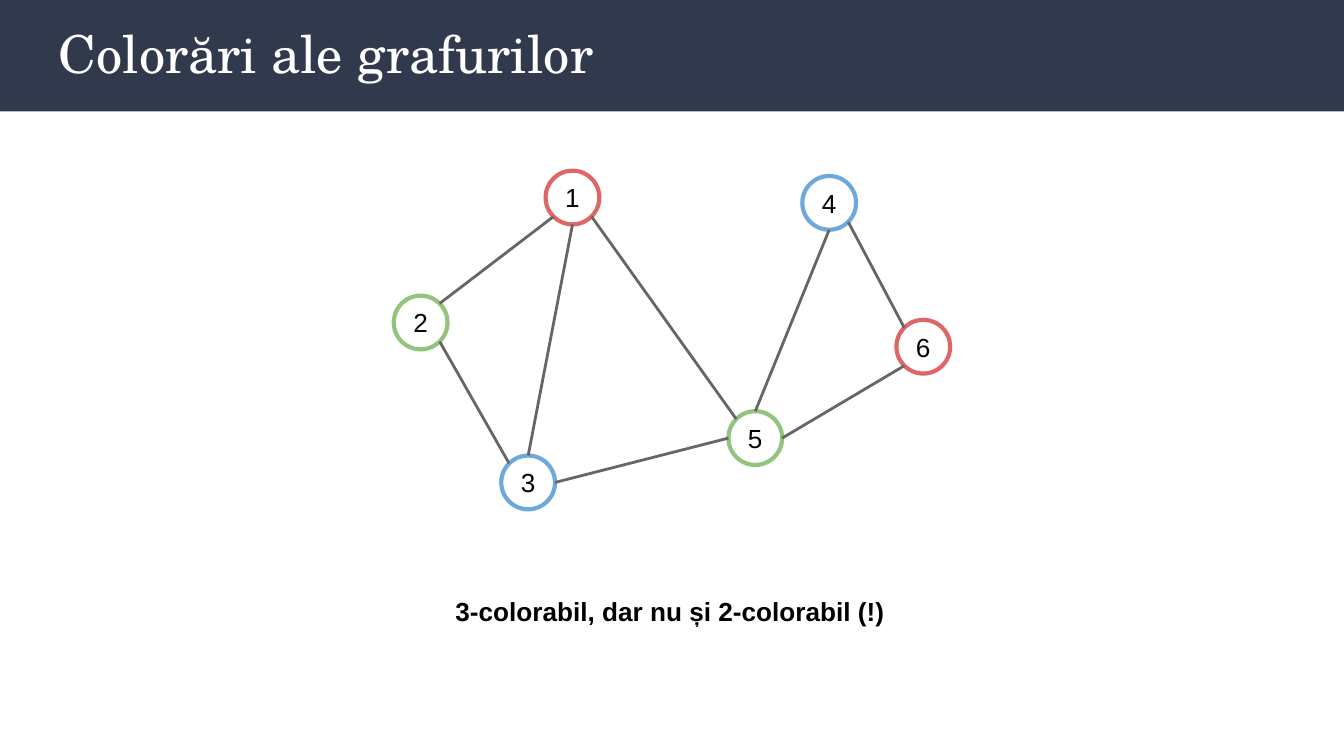
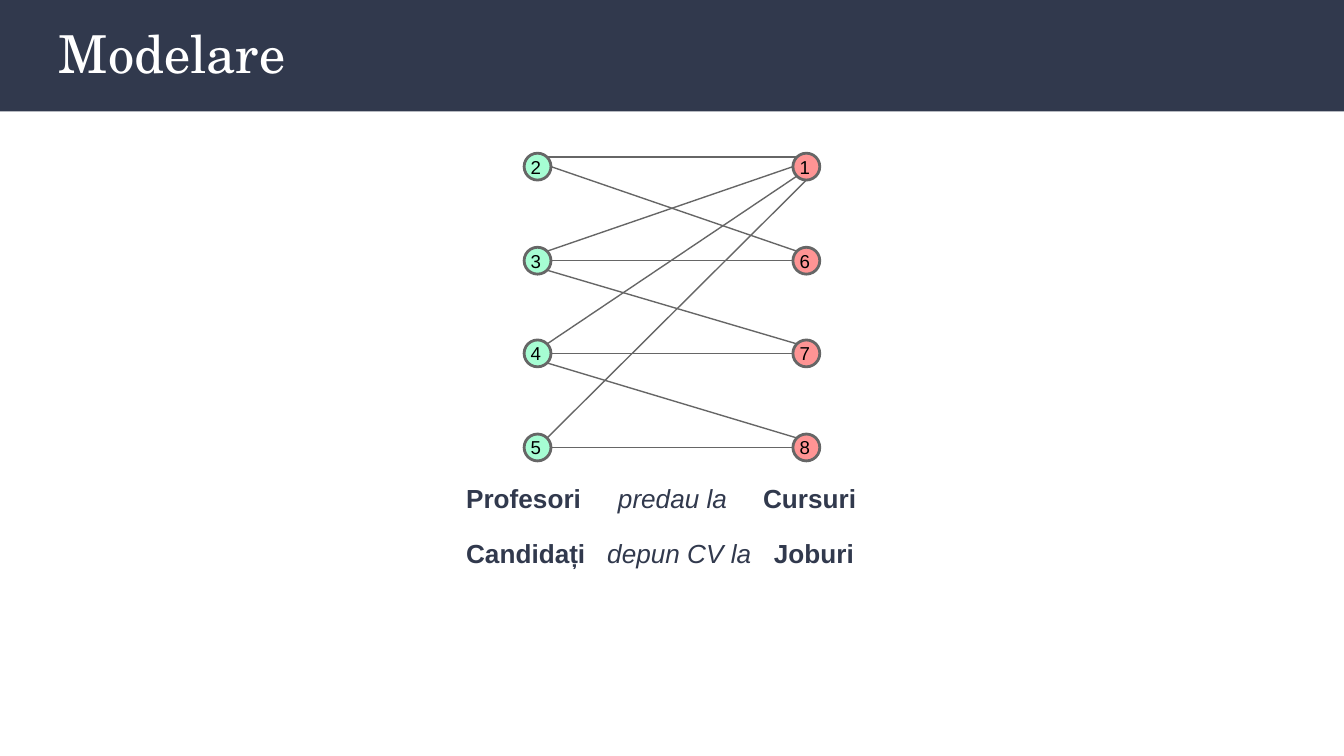
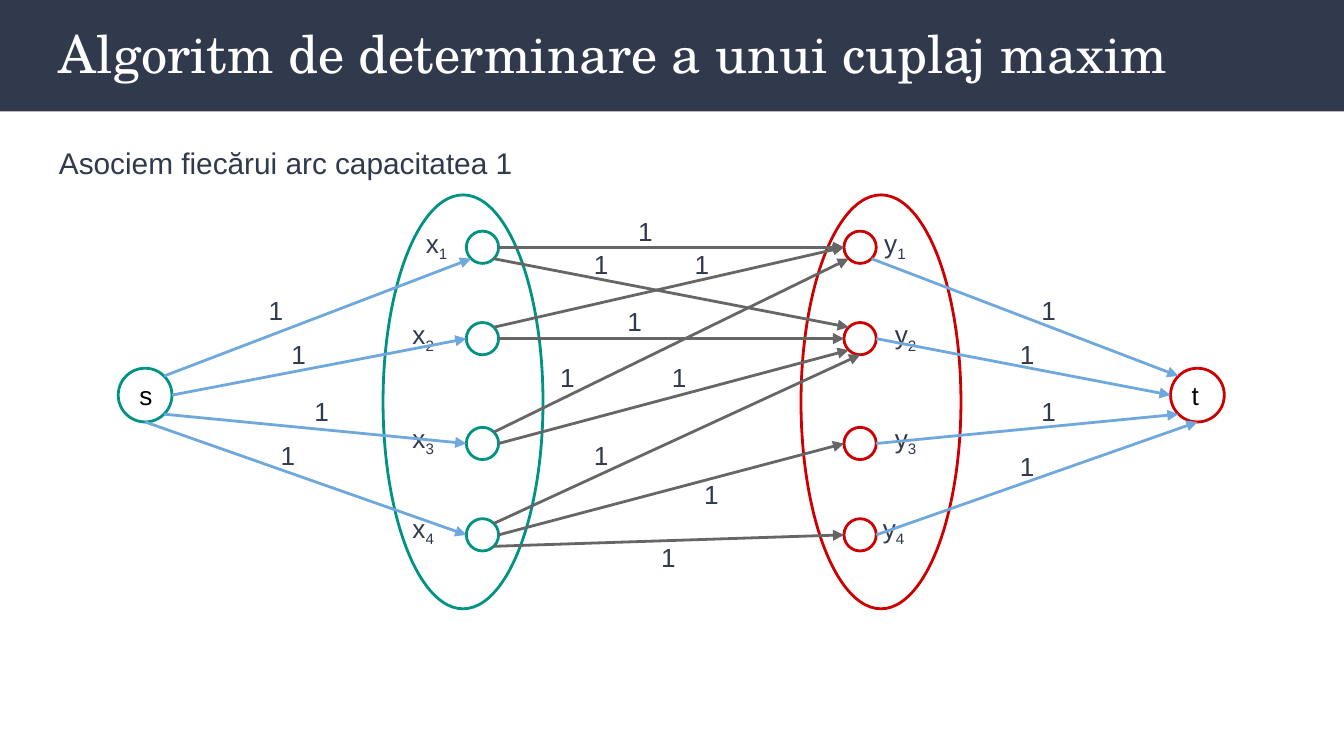
"""Build three slides on graph colouring, modelling and maximum matching."""
from lxml import etree
from pptx import Presentation, util as u
from pptx.dml.color import RGBColor
from pptx.enum import shapes, text
from pptx.oxml import ns


class Theme:
    navy, white, black, grey = "31394D", "FFFFFF", "000000", "666666"
    red, green, blue = "E06666", "93C47D", "6FA8DC"
    mint, pink, teal, crimson = "A6FDD3", "FF9494", "009384", "CC0000"
    head_font, font = "TeX Gyre Schola", "Arial"
    title, body, label, small = 28, 16, 14, 10


DIRS = {"n": (0, -1), "ne": (0.71, -0.71), "e": (1, 0), "se": (0.71, 0.71),
        "s": (0, 1), "sw": (-0.71, 0.71), "w": (-1, 0), "nw": (-0.71, -0.71)}


def put(sl, box, runs=(), size=Theme.label, color=Theme.navy, font=Theme.font, kind=None,
        fill=None, line=None, width=1.5, center=False, inset=0.1, tabs=()):
    """Add a text box, or a preset shape if kind is given, with (text, style) runs."""
    at = [u.Inches(v) for v in box]
    if kind is None:
        sp = sl.shapes.add_textbox(*at)
    else:
        sp = sl.shapes.add_shape(kind, *at)
        sp.shadow.inherit = False
        sp.fill.background()
        sp.line.fill.background()
    if fill:
        sp.fill.solid()
        sp.fill.fore_color.rgb = RGBColor.from_string(fill)
    if line:
        sp.line.color.rgb = RGBColor.from_string(line)
        sp.line.width = u.Pt(width)
    tf = sp.text_frame
    tf.word_wrap = True
    tf.margin_left = tf.margin_right = tf.margin_top = tf.margin_bottom = u.Inches(inset)
    tf.vertical_anchor = text.MSO_ANCHOR.MIDDLE if kind else text.MSO_ANCHOR.TOP
    p = tf.paragraphs[0]
    p.alignment = text.PP_ALIGN.CENTER if center else text.PP_ALIGN.LEFT
    if tabs:
        stops = etree.SubElement(p._p.get_or_add_pPr(), ns.qn("a:tabLst"))
        for pos in tabs:
            etree.SubElement(stops, ns.qn("a:tab"), pos=str(u.Inches(pos)), algn="l")
    p.font.size, p.font.name = u.Pt(size), font
    p.font.color.rgb = RGBColor.from_string(color)
    for words, style in runs:
        r = p.add_run()
        r.text = words
        if style == "bold":
            r.font.bold = True
        elif style == "italic":
            r.font.italic = True
        elif style == "sub":
            r._r.get_or_add_rPr().set("baseline", "-25000")
    return p


def join(sl, nodes, edges, color=Theme.grey, width=1.5, arrow=False):
    """Draw edges such as '1 sw 2 ne' between the rims of (x, y, radius) nodes."""
    for edge in edges:
        a, from_side, b, to_side = edge.split()
        ends = []
        for name, side in ((a, from_side), (b, to_side)):
            x, y, radius = nodes[name]
            dx, dy = DIRS[side]
            ends += [u.Inches(x + radius * dx), u.Inches(y + radius * dy)]
        cx = sl.shapes.add_connector(shapes.MSO_CONNECTOR.STRAIGHT, *ends)
        cx.line.color.rgb = RGBColor.from_string(color)
        cx.line.width = u.Pt(width)
        if arrow:
            etree.SubElement(cx.line._get_or_add_ln(), ns.qn("a:tailEnd"), type="triangle")
        etree.SubElement(cx._element.spPr, ns.qn("a:effectLst"))


prs = Presentation()
prs.slide_width = u.Inches(10)
prs.slide_height = prs.slide_width * 9 // 16
OVAL = shapes.MSO_SHAPE.OVAL

slides = []
for title in ("Colorări ale grafurilor", "Modelare", "Algoritm de determinare a unui cuplaj maxim"):
    sl = prs.slides.add_slide(prs.slide_layouts[6])
    put(sl, (0, 0, 10, 0.83), kind=shapes.MSO_SHAPE.RECTANGLE, fill=Theme.navy)
    put(sl, (0.34, 0.06, 9.32, 0.68), [(title, "")], Theme.title, Theme.white, Theme.head_font)
    slides.append(sl)
coloring, modeling, matching = slides

big, nodes = 0.2, {}
for name, x, y, color in (
        ("1", 4.26, 1.47, Theme.red), ("2", 3.13, 2.4, Theme.green), ("3", 3.93, 3.59, Theme.blue),
        ("5", 5.62, 3.26, Theme.green), ("6", 6.87, 2.58, Theme.red), ("4", 6.17, 1.51, Theme.blue)):
    nodes[name] = x, y, big
    put(coloring, (x - big, y - big, 2 * big, 2 * big), [(name, "")], color=Theme.black,
        kind=OVAL, line=color, width=2.25, center=True, inset=0.02)
join(coloring, nodes, ("1 sw 2 ne", "2 se 3 nw", "1 s 3 n", "1 se 5 nw",
                       "3 e 5 w", "4 s 5 n", "4 se 6 nw", "5 e 6 sw"))
put(coloring, (3.29, 4.33, 3.43, 0.44), [("3-colorabil, dar nu și 2-colorabil (!)", "bold")],
    color=Theme.black)

small, nodes = 0.1, {}
for x, names, fill in ((4, "2345", Theme.mint), (6, "1678", Theme.pink)):
    for name, y in zip(names, (1.24, 1.94, 2.63, 3.33)):
        nodes[name] = x, y, small
        put(modeling, (x - small, y - small, 2 * small, 2 * small), [(name, "")], Theme.small,
            Theme.black, kind=OVAL, fill=fill, line=Theme.grey, inset=0.02)
join(modeling, nodes, ("2 ne 1 nw", "2 e 6 nw", "3 ne 1 w", "3 e 6 w", "3 se 7 nw",
                       "4 ne 1 sw", "4 e 7 w", "4 se 8 nw", "5 ne 1 s", "5 e 8 w"), width=0.75)
for y, who, verb, what, tabs in ((3.49, "Profesori", "predau la", "Cursuri", (1.13, 2.21)),
                                 (3.9, "Candidați", "depun CV la", "Joburi", (1.05, 2.29))):
    put(modeling, (3.37, y, 3.24, 0.44),
        [(who + "\t", "bold"), (verb + "\t", "italic"), (what, "bold")], tabs=tabs)

p = put(matching, (0.34, 0.94, 9.32, 4.11), [("Asociem fiecărui arc capacitatea 1", "")], Theme.body)
p.line_spacing, p.space_after = 1.15, u.Pt(10)

dot, nodes = 0.12, {}
label_tops = (1.59, 2.27, 3.04, 3.71)
for side, x, set_left, color, label_lefts in (
        ("x", 3.59, 2.85, Theme.teal, (3.07, 2.97, 2.97, 2.97)),
        ("y", 6.4, 5.96, Theme.crimson, (6.48, 6.56, 6.56, 6.47))):
    put(matching, (set_left, 1.45, 1.19, 3.08), kind=OVAL, line=color)
    for i, y in enumerate((1.84, 2.52, 3.3, 3.98)):
        nodes[f"{side}{i + 1}"] = x, y, dot
        put(matching, (x - dot, y - dot, 2 * dot, 2 * dot), kind=OVAL, line=color)
        put(matching, (label_lefts[i], label_tops[i], 0.52, 0.44), [(side, ""), (str(i + 1), "sub")])
for name, x, color in (("s", 1.08, Theme.teal), ("t", 8.91, Theme.crimson)):
    nodes[name] = x, 2.94, big
    put(matching, (x - big, 2.94 - big, 2 * big, 2 * big), [(name, "")], color=Theme.black,
        kind=OVAL, line=color)
join(matching, nodes, ("x1 e y1 w", "x1 se y2 nw", "x2 ne y1 w", "x2 e y2 w", "x3 ne y1 sw",
                       "x3 e y2 sw", "x4 ne y2 s", "x4 e y3 w", "x4 se y4 w"), arrow=True)
join(matching, nodes, ("s ne x1 sw", "s e x2 w", "s se x3 w", "s s x4 w",
                       "y1 se t nw", "y2 e t w", "y3 e t sw", "y4 e t s"), Theme.blue, arrow=True)
for x, y in ((1.9, 2.09), (2.07, 2.42), (2.24, 2.84), (1.99, 3.17),
             (7.65, 2.09), (7.49, 2.42), (7.65, 2.84), (7.49, 3.25),
             (4.82, 3.93), (5.14, 3.46), (4.32, 3.17), (4.9, 2.59), (4.07, 2.59),
             (4.57, 2.17), (4.32, 1.75), (5.07, 1.75), (4.65, 1.5)):
    put(matching, (x, y, 0.31, 0.44), [("1", "")])

prs.save("out.pptx")
